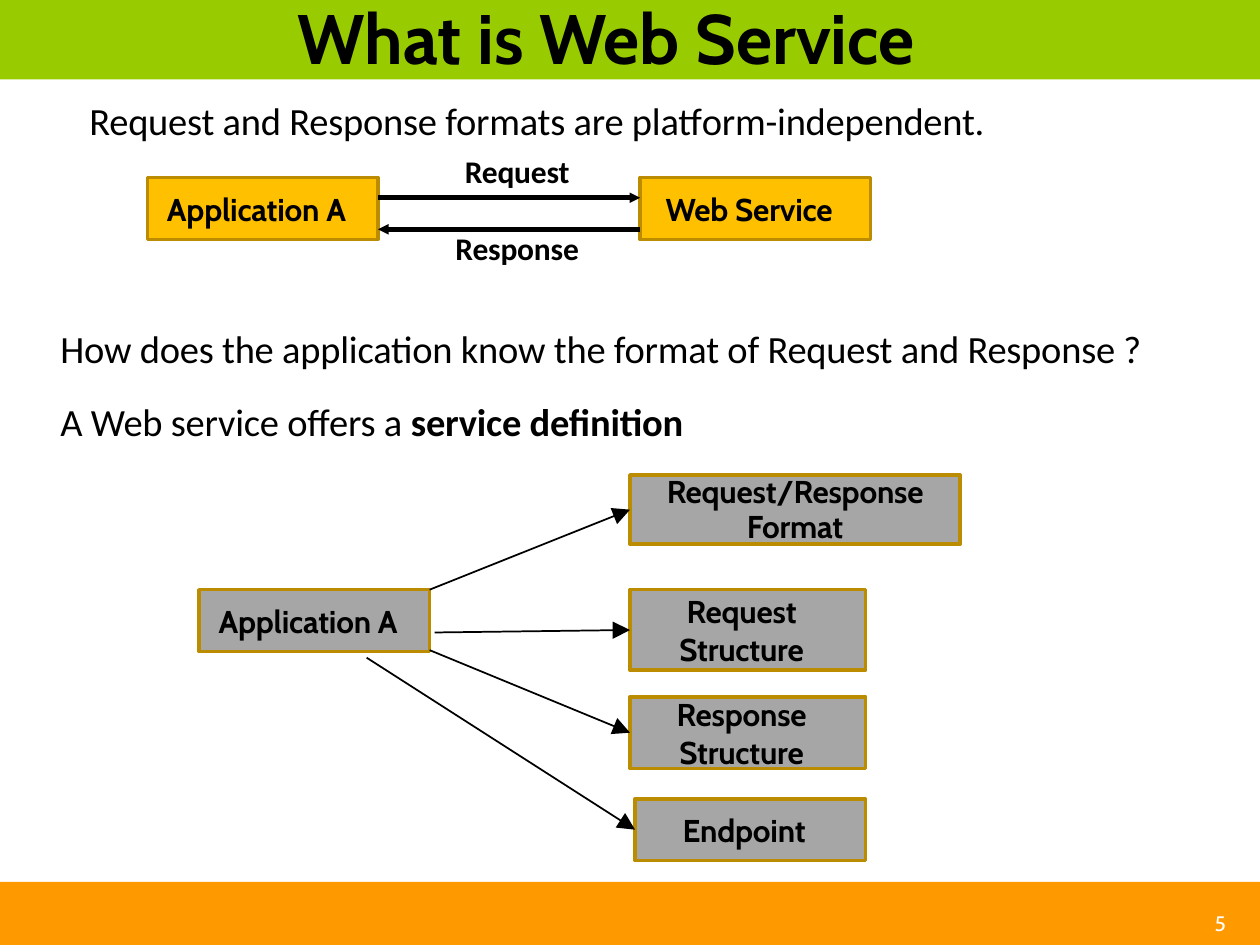
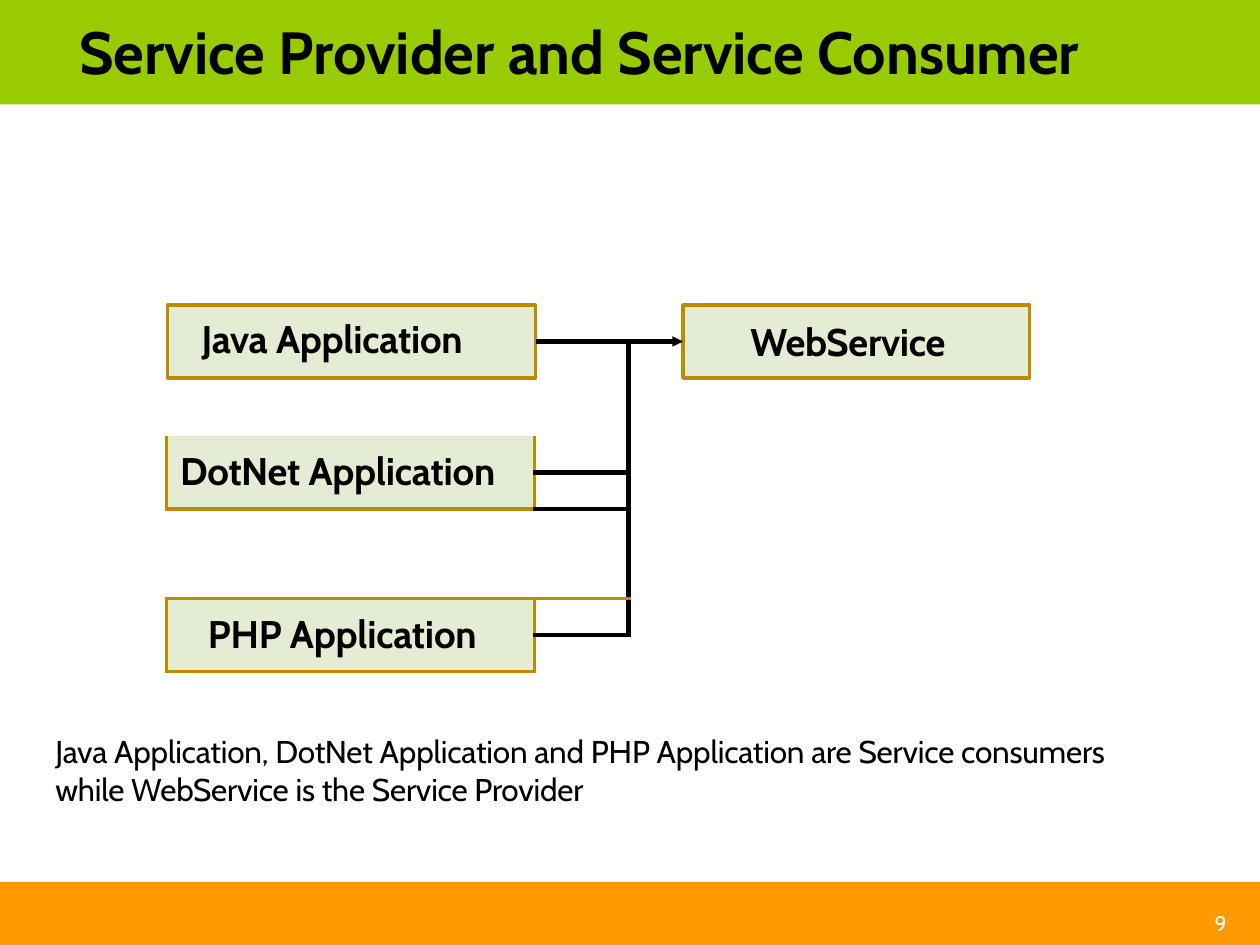
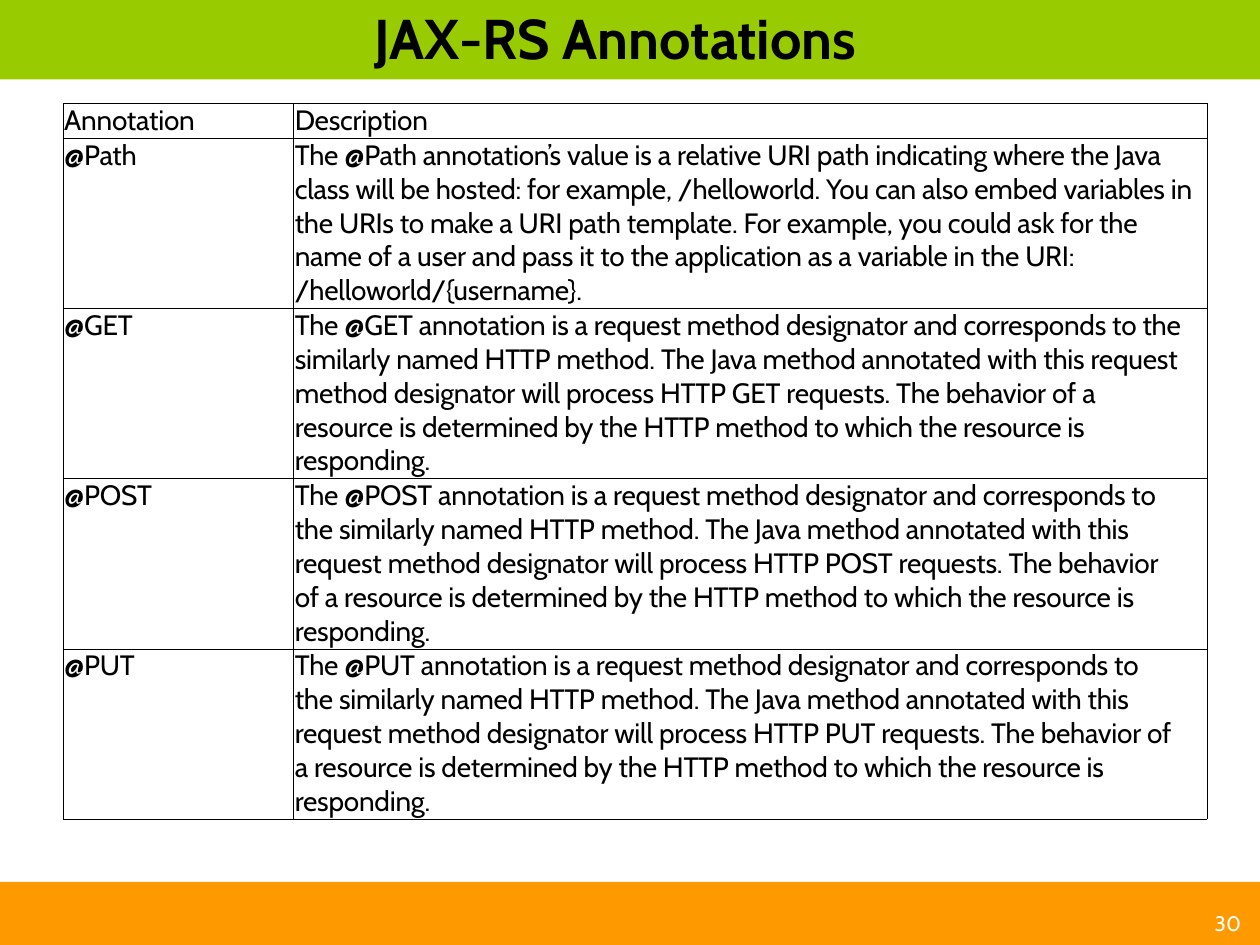
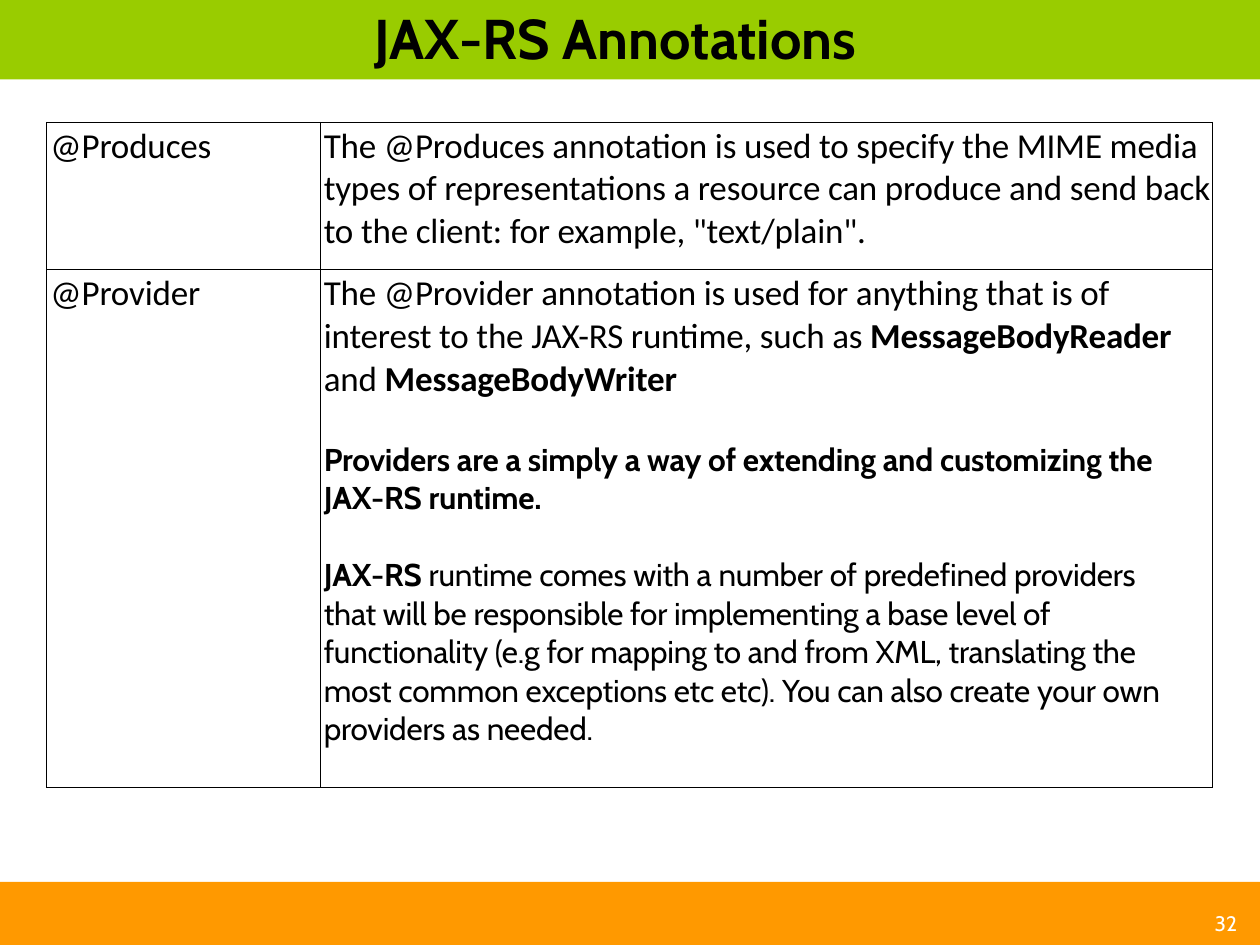
from lxml import etree
from pptx import Presentation
from pptx.dml.color import RGBColor
from pptx.enum import shapes, text
from pptx.oxml.ns import qn
from pptx.util import Inches, Pt

# Shared look
BLACK, WHITE = "000000", "FFFFFF"
GREEN, ORANGE = "99CC00", "FF9900"
AMBER, GRAY, PALE, GOLD = "FFC000", "A6A6A6", "E4ECD3", "BB8B00"
HEAD, BODY = "Cabin", "Calibri"
LEFT, MID = text.PP_ALIGN.LEFT, text.PP_ALIGN.CENTER
PLAIN = "{2D5ABB26-0587-4C30-8999-92F81FD0307C}"

# Slide content; ** switches bold on and off
INTRO = "Request and Response formats are platform-independent."
ASK = ["How does the application know the format of Request and Response ?",
       "A Web service offers a **service definition**"]
PARTS = [  # label, box, right inset, start of its arrow
    ("Request/Response Format", (5, 3.77, 2.62, 0.55), 0, (3.41, 4.68)),
    ("Request Structure", (5, 4.68, 1.87, 0.64), 0.1, (3.45, 5.02)),
    ("Response Structure", (5, 5.53, 1.87, 0.57), 0.1, (3.41, 5.16)),
    ("Endpoint", (5.04, 6.34, 1.83, 0.49), 0.1, (2.91, 5.22)),
]

CLIENTS = {0: ("Java Application", 0.28), 1: ("DotNet Application", 0.11),
           4: ("PHP Application", 0.33)}
ROLES = ("Java Application, DotNet Application and PHP Application are Service "
         "consumers while WebService is the Service Provider")
GRID = [0.75, 0.29, 0.29, 0.71, 0.29, 0.29]
JOINS = [((0, 0), (0, 1)), ((1, 0), (2, 0)), ((3, 0), (3, 1)), ((4, 0), (5, 0))]
BOX = {"L": GOLD, "R": GOLD, "B": GOLD}
EDGES = {
    (0, 0): {"R": BLACK}, (0, 1): {"R": BLACK},
    (1, 0): BOX, (2, 0): BOX,
    (1, 1): {"L": GOLD, "R": BLACK, "B": BLACK},
    (2, 1): {"L": GOLD, "R": BLACK, "T": BLACK, "B": BLACK},
    (3, 0): {"R": BLACK, "B": GOLD}, (3, 1): {"R": BLACK, "B": GOLD},
    (4, 0): {**BOX, "T": GOLD}, (5, 0): BOX,
    (4, 1): {"L": GOLD, "R": BLACK, "T": GOLD, "B": BLACK},
    (5, 1): {"L": GOLD, "T": BLACK},
}

VERB = ("The @{0} annotation is a request method designator and corresponds to "
        "the similarly named HTTP method. The Java method annotated with this "
        "request method designator will process HTTP {0} requests. The behavior "
        "of a resource is determined by the HTTP method to which the resource "
        "is responding.")
VERBS = [
    ("Annotation", "Description", 0),
    ("@Path",
     "The @Path annotation’s value is a relative URI path indicating where the "
     "Java class will be hosted: for example, /helloworld. You can also embed "
     "variables in the URIs to make a URI path template. For example, you could "
     "ask for the name of a user and pass it to the application as a variable "
     "in the URI: /helloworld/{username}.", 0),
] + [("@" + verb, VERB.format(verb), 0.2) for verb in ("GET", "POST", "PUT")]

SMALL = {"font": HEAD, "size": 18}
TYPES = [
    ("@Produces",
     "The @Produces annotation is used to specify the MIME media types of "
     "representations a resource can produce and send back to the client: for "
     "example, \"text/plain\".", 0),
    ("@Provider", [
        "The @Provider annotation is used for anything that is of interest to "
        "the JAX-RS runtime, such as **MessageBodyReader** and "
        "**MessageBodyWriter**",
        ("**Providers are a simply a way of extending and customizing the "
         "JAX-RS runtime.**", {**SMALL, "before": 23}),
        ("**JAX-RS** runtime comes with a number of predefined providers that "
         "will be responsible for implementing a base level of functionality "
         "(e.g for mapping to and from XML, translating the most common "
         "exceptions etc etc). You can also create your own providers as "
         "needed.", {**SMALL, "before": 22})], 0.2),
]


def color(code):
    return RGBColor.from_string(code)


# Text
def style(para, words, size=18, font=HEAD, bold=False, hue=BLACK, align=LEFT,
          spc=-10, before=0, line=None):
    para.alignment, para.space_before = align, Pt(before)
    if line:
        para.line_spacing = line
    for n, piece in enumerate(words.split("**")):
        if piece:
            run = para.add_run()
            run.text = piece
            run.font.size, run.font.name = Pt(size), font
            run.font.bold = bold or n % 2 == 1
            run.font.color.rgb = color(hue)
            run._r.get_or_add_rPr().set("spc", str(spc))


def write(frame, words, **look):
    items = words if isinstance(words, list) else [words]
    for n, item in enumerate(items):
        para = frame.add_paragraph() if n else frame.paragraphs[0]
        line, extra = (item, {}) if isinstance(item, str) else item
        style(para, line, **{**look, **extra})


def inset(part, left=0, top=0, right=0, bottom=0):
    part.margin_left, part.margin_top = Inches(left), Inches(top)
    part.margin_right, part.margin_bottom = Inches(right), Inches(bottom)


def label(slide, at, words, **look):
    frame = slide.shapes.add_textbox(*map(Inches, at)).text_frame
    frame.word_wrap = True
    inset(frame, 0.01, 0.01)
    write(frame, words, **look)


# Shapes
def rect(slide, at, fill, line=None):
    box = slide.shapes.add_shape(shapes.MSO_SHAPE.RECTANGLE, *map(Inches, at))
    box.shadow.inherit = False
    box.fill.solid()
    box.fill.fore_color.rgb = color(fill)
    if line:
        box.line.color.rgb, box.line.width = color(line), Pt(2.04)
    else:
        box.line.fill.background()
    return box


def node(slide, at, fill, words, right=0.1, size=18, line=None):
    box = rect(slide, at, fill, GOLD)
    frame = box.text_frame
    frame.word_wrap, frame.vertical_anchor = True, text.MSO_ANCHOR.MIDDLE
    inset(frame, right=right)
    write(frame, words, size=size, bold=True, align=MID, line=line)
    return box


def arrow(slide, start, end, width, head):
    link = slide.shapes.add_connector(shapes.MSO_CONNECTOR.STRAIGHT,
                                      *map(Inches, start + end))
    link.line.color.rgb, link.line.width = color(BLACK), Pt(width)
    etree.SubElement(link.line._get_or_add_ln(), qn("a:tailEnd"),
                     type="triangle", w=head, len=head)
    etree.SubElement(link._element.spPr, qn("a:effectLst"))
    return link


# Tables
def border(cell, edges, width):
    props = cell._tc.get_or_add_tcPr()
    for side in "LRTB":
        if side in edges:
            ln = etree.SubElement(props, qn("a:ln" + side), w=str(Pt(width)))
            fill = etree.SubElement(ln, qn("a:solidFill"))
            etree.SubElement(fill, qn("a:srgbClr"), val=edges[side])


def table(slide, at, cols, rows):
    size = (sum(cols), sum(rows))
    frame = slide.shapes.add_table(len(rows), len(cols), *map(Inches, at + size))
    grid = frame.table
    grid.first_row = grid.horz_banding = False
    grid._tbl.tblPr.find(qn("a:tableStyleId")).text = PLAIN
    for col, width in zip(grid.columns, cols):
        col.width = Inches(width)
    for row, height in zip(grid.rows, rows):
        row.height = Inches(height)
    return grid


def listing(slide, at, cols, rows, data, left, top, **look):
    grid = table(slide, at, cols, rows)
    for r, (name, about, right) in enumerate(data):
        for c, words in enumerate((name, about)):
            cell = grid.cell(r, c)
            inset(cell, left, top, right * c)
            border(cell, dict.fromkeys("LRTB", BLACK), 0.5)
            cell.fill.background()
            write(cell.text_frame, words, **look)


# Frame of every slide
def start(prs, title, at, size, page, band=0.63):
    slide = prs.slides.add_slide(prs.slide_layouts[6])
    rect(slide, (0, 7, 10, 0.5), ORANGE)
    rect(slide, (0, 0, 10, band), GREEN)
    label(slide, at, title, size=size, bold=True, spc=0)
    label(slide, (9.63, 7.22, 0.3, 0.22), page, size=12, hue=WHITE, spc=0)
    return slide


def service(prs):
    slide = start(prs, "What is Web Service", (2.35, -0.05, 5.31, 0.69), 40, "5")
    label(slide, (0.7, 0.76, 7.6, 0.4), INTRO, size=22, font=BODY)
    label(slide, (0.47, 2.36, 8.9, 1.18), ASK, size=22, font=BODY, line=1.58)
    # Request and response
    node(slide, (1.17, 1.41, 1.83, 0.49), AMBER, "Application A")
    node(slide, (5.08, 1.41, 1.83, 0.49), AMBER, "Web Service")
    arrow(slide, (3, 1.57), (5.08, 1.57), 3, "sm")
    arrow(slide, (5.08, 1.82), (3, 1.82), 3, "sm")
    for words, top in (("Request", 1.2), ("Response", 1.81)):
        label(slide, (3.35, top, 1.5, 0.32), words, font=BODY, bold=True,
              align=MID)
    # Parts of the definition
    node(slide, (1.58, 4.68, 1.83, 0.49), GRAY, "Application A")
    for words, at, right, begin in PARTS:
        box = node(slide, at, GRAY, words, right,
                   line=None if right else Pt(20.2))
        end = (at[0], at[1] + at[3] / 2)
        arrow(slide, begin, end, 1, "lg").end_connect(box, 1)


def roles(prs):
    slide = start(prs, "Service Provider and Service Consumer",
                  (0.62, 0.11, 8.75, 0.59), 34, "9", 0.83)
    java = rect(slide, (1.33, 2.42, 2.92, 0.58), PALE, GOLD)
    web = node(slide, (5.42, 2.42, 2.75, 0.58), PALE, "WebService", 0.13, 22)
    link = arrow(slide, (4.25, 2.71), (5.42, 2.71), 3, "sm")
    link.begin_connect(java, 3)
    link.end_connect(web, 1)
    # Clients and the lines that gather them
    grid = table(slide, (1.32, 2.71), [2.92, 0.75], GRID)
    for (r, c), edges in EDGES.items():
        cell = grid.cell(r, c)
        inset(cell)
        for side, hue in edges.items():
            border(cell, {side: hue}, 3 if hue == BLACK else 2.25)
        cell.fill.background()
        if c == 0 and r in CLIENTS:
            words, left = CLIENTS[r]
            inset(cell, left, 0.1 if r else 0)
            write(cell.text_frame, words, size=22, bold=True,
                  line=None if r else Pt(12.6))
            if r:
                cell.fill.solid()
                cell.fill.fore_color.rgb = color(PALE)
        else:
            para = cell.text_frame.paragraphs[0]._p
            etree.SubElement(para, qn("a:endParaRPr"), sz="800")
    for first, last in JOINS:
        grid.cell(*first).merge(grid.cell(*last))
    label(slide, (0.43, 5.8, 8.8, 0.63), ROLES)


def main():
    prs = Presentation()
    prs.slide_width, prs.slide_height = Inches(10), Inches(7.5)
    service(prs)
    roles(prs)
    notes = ("JAX-RS Annotations", (2.96, 0.02, 4.07, 0.56), 32)
    listing(start(prs, *notes, "30"), (0.5, 0.82), [1.83, 7.25],
            [0.28] + [1.35] * 4, VERBS, 0.01, 0, size=16)
    listing(start(prs, *notes, "32"), (0.37, 0.97), [2.17, 7.08],
            [1.17, 4.11], TYPES, 0.03, 0.02, size=20, font=BODY)
    prs.save("out.pptx")


if __name__ == "__main__":
    main()
